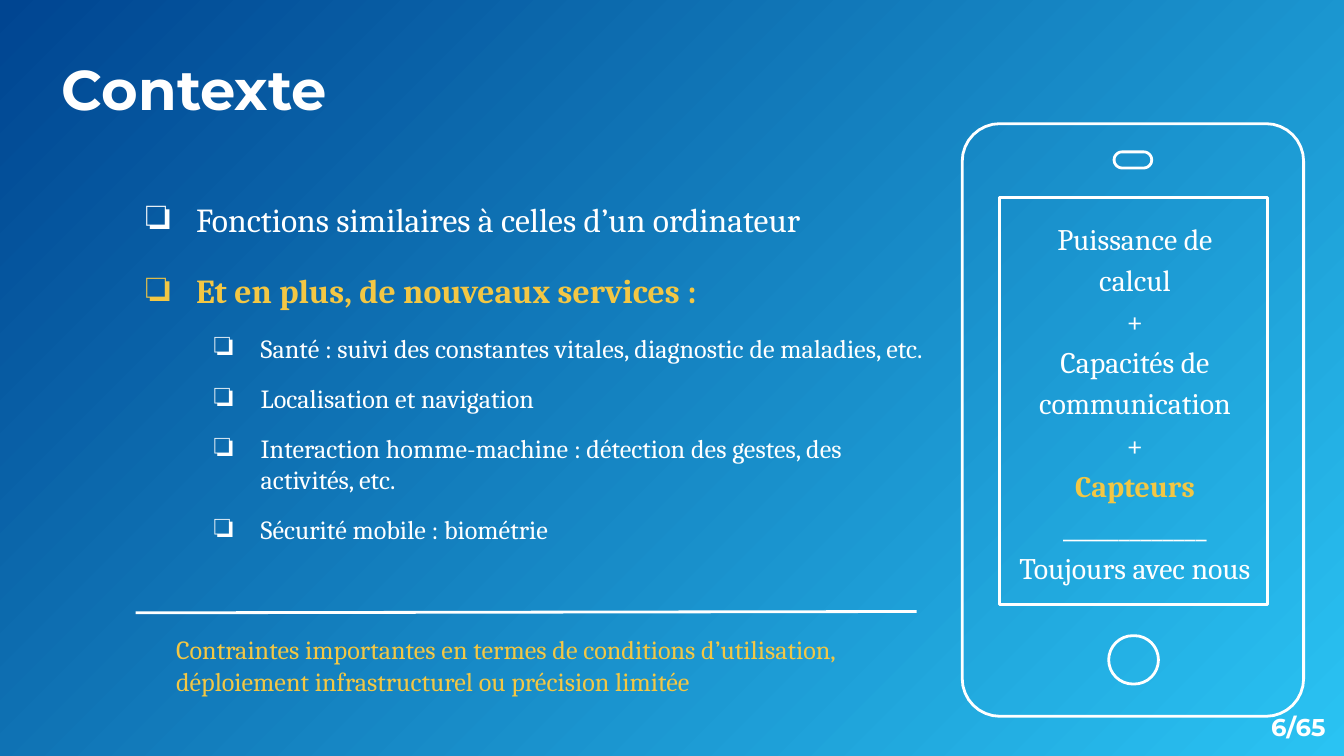
"""Build the "Contexte" slide: bullet lists beside an outlined phone."""
from dataclasses import dataclass
from math import cos, pi, sin
from typing import Optional

from lxml.etree import SubElement
from pptx import Presentation
from pptx.dml.color import RGBColor as Rgb
from pptx.enum.shapes import MSO_CONNECTOR as Connector
from pptx.enum.text import MSO_ANCHOR as Anchor, PP_ALIGN as Align
from pptx.oxml.ns import qn
from pptx.util import Emu, Pt

SCALE = 9144
COLORS = {"white": "FFFFFF", "gold": "F3C744", "sky": "2AC3F3", "navy": "004591"}
ARC_STEPS = 8


@dataclass(frozen=True)
class Style:
    size: int
    color: str = "white"
    bold: bool = False
    font: str = "Cambria"
    align: Align = Align.LEFT
    line_spacing: Optional[float] = None
    gap: int = 0
    level: int = 0
    margin: int = 0
    hanging: int = 0
    bullet: str = ""


@dataclass(frozen=True)
class TextBlock:
    left: int
    top: int
    width: int
    height: int
    style: Style
    lines: tuple[str, ...]
    anchor: Anchor = Anchor.TOP
    gaps: tuple[int, ...] = ()


@dataclass(frozen=True)
class Outline:
    left: int
    top: int
    right: int
    bottom: int
    radius: int = 0


SCREEN = Style(16, align=Align.CENTER, line_spacing=1.15)
SCREEN_KEY = Style(16, "gold", True, align=Align.CENTER, line_spacing=1.15)
TOPIC = Style(18, level=1, margin=100, hanging=38, bullet="❏")
TOPIC_KEY = Style(18, "gold", True, level=1, margin=100, hanging=38, bullet="❏")
SERVICE = Style(14, gap=10, level=2, margin=150, hanging=35, bullet="❏")
NOTE = Style(14, "gold", margin=30)
TITLE = Style(30, bold=True, font="Montserrat", line_spacing=0.9)
NUMBER = Style(13, bold=True, font="Montserrat", align=Align.CENTER)

PHONE = (
    Outline(716, 92, 970, 533, 28),
    Outline(829, 113, 857, 125, 6),
    Outline(825, 473, 862, 509, 18),
    Outline(744, 147, 943, 450),
)

BLOCKS = (
    TextBlock(46, 48, 813, 43, TITLE, ("Contexte",), Anchor.BOTTOM),
    TextBlock(46, 148, 647, 43, TOPIC, ("Fonctions similaires à celles d’un ordinateur",)),
    TextBlock(46, 201, 647, 36, TOPIC_KEY, ("Et en plus, de nouveaux services :",)),
    TextBlock(44, 247, 647, 197, SERVICE, (
        "Santé : suivi des constantes vitales, diagnostic de maladies, etc.",
        "Localisation et navigation",
        "Interaction homme-machine : détection des gestes, des activités, etc.",
        "Sécurité mobile : biométrie",
    )),
    TextBlock(101, 463, 599, 64, NOTE, (
        "Contraintes importantes en termes de conditions d’utilisation, "
        "déploiement infrastructurel ou précision limitée",
    ), Anchor.MIDDLE),
    TextBlock(746, 160, 197, 315, SCREEN, (
        "Puissance de\vcalcul", "+", "Capacités de communication", "+",
        "_____________", "Toujours avec nous",
    ), gaps=(0, 0, 0, 0, 22, 0)),
    TextBlock(746, 344, 197, 30, SCREEN_KEY, ("Capteurs",)),
    TextBlock(936, 519, 60, 43, NUMBER, ("6/65",), Anchor.MIDDLE),
)


def px(value: float) -> Emu:
    return Emu(round(value * SCALE))


def rgb(name: str) -> Rgb:
    return Rgb.from_string(COLORS[name])


def paint_background(page) -> None:
    fill = page.background.fill
    fill.gradient()
    for stop, name, position in zip(fill.gradient_stops, ("sky", "navy"), (0, 1)):
        stop.color.rgb = rgb(name)
        stop.position = position
    gradient = page.background._cSld.find(".//" + qn("a:gradFill"))
    linear = gradient.find(qn("a:lin"))
    circle = SubElement(gradient, qn("a:path"), path="circle")
    SubElement(circle, qn("a:fillToRect"), l="100000", t="100000")
    gradient.replace(linear, circle)


def format_paragraph(para, style: Style, gap: int) -> None:
    para.alignment = style.align
    para.level = style.level
    if style.line_spacing:
        para.line_spacing = style.line_spacing
    para.space_before = Pt(gap)
    props = para._p.get_or_add_pPr()
    props.set("marL", str(px(style.margin)))
    props.set("indent", str(px(-style.hanging)))
    if style.bullet:
        color = SubElement(props, qn("a:buClr"))
        SubElement(color, qn("a:srgbClr"), val=COLORS[style.color])
        SubElement(props, qn("a:buFont"), typeface=style.font)
        SubElement(props, qn("a:buChar"), char=style.bullet)
    font = para.font
    font.name, font.size, font.bold = style.font, Pt(style.size), style.bold
    font.color.rgb = rgb(style.color)


def draw_text(page, block: TextBlock) -> None:
    box = page.shapes.add_textbox(
        px(block.left), px(block.top), px(block.width), px(block.height))
    frame = box.text_frame
    frame.word_wrap = True
    frame.vertical_anchor = block.anchor
    frame.margin_left = frame.margin_right = frame.margin_top = frame.margin_bottom = 0
    gaps = block.gaps or (0,) + (block.style.gap,) * (len(block.lines) - 1)
    for index, (line, gap) in enumerate(zip(block.lines, gaps)):
        para = frame.add_paragraph() if index else frame.paragraphs[0]
        para.text = line
        format_paragraph(para, block.style, gap)


def outline_points(outline: Outline) -> list[tuple[int, int]]:
    radius = outline.radius
    left, right = outline.left + radius, outline.right - radius
    top, bottom = outline.top + radius, outline.bottom - radius
    centers = ((right, bottom), (left, bottom), (left, top), (right, top))
    steps = range(ARC_STEPS + 1) if radius else range(1)
    points = []
    for quarter, (x, y) in enumerate(centers):
        for step in steps:
            angle = (quarter + step / ARC_STEPS) * pi / 2
            points.append((px(x + radius * cos(angle)), px(y + radius * sin(angle))))
    return points


def draw_phone(page, outlines: tuple[Outline, ...]) -> None:
    first, *others = map(outline_points, outlines)
    builder = page.shapes.build_freeform(*first[0])
    builder.add_line_segments(first[1:], close=True)
    for points in others:
        builder.move_to(*points[0])
        builder.add_line_segments(points[1:], close=True)
    phone = builder.convert_to_shape()
    phone.shadow.inherit = False
    phone.fill.background()
    phone.line.color.rgb = rgb("white")
    phone.line.width = Pt(1.5)


def draw_rule(page, x1: int, y1: int, x2: int, y2: int) -> None:
    rule = page.shapes.add_connector(Connector.STRAIGHT, px(x1), px(y1), px(x2), px(y2))
    rule.line.color.rgb = rgb("white")
    rule.line.width = Pt(1.5)
    SubElement(rule._element.spPr, qn("a:effectLst"))


def main() -> None:
    deck = Presentation()
    deck.slide_width = px(1000)
    deck.slide_height = Emu(deck.slide_width * 9 // 16)
    page = deck.slides.add_slide(deck.slide_layouts[6])
    paint_background(page)
    draw_phone(page, PHONE)
    draw_rule(page, 101, 456, 682, 455)
    for block in BLOCKS:
        draw_text(page, block)
    deck.save("out.pptx")


if __name__ == "__main__":
    main()
